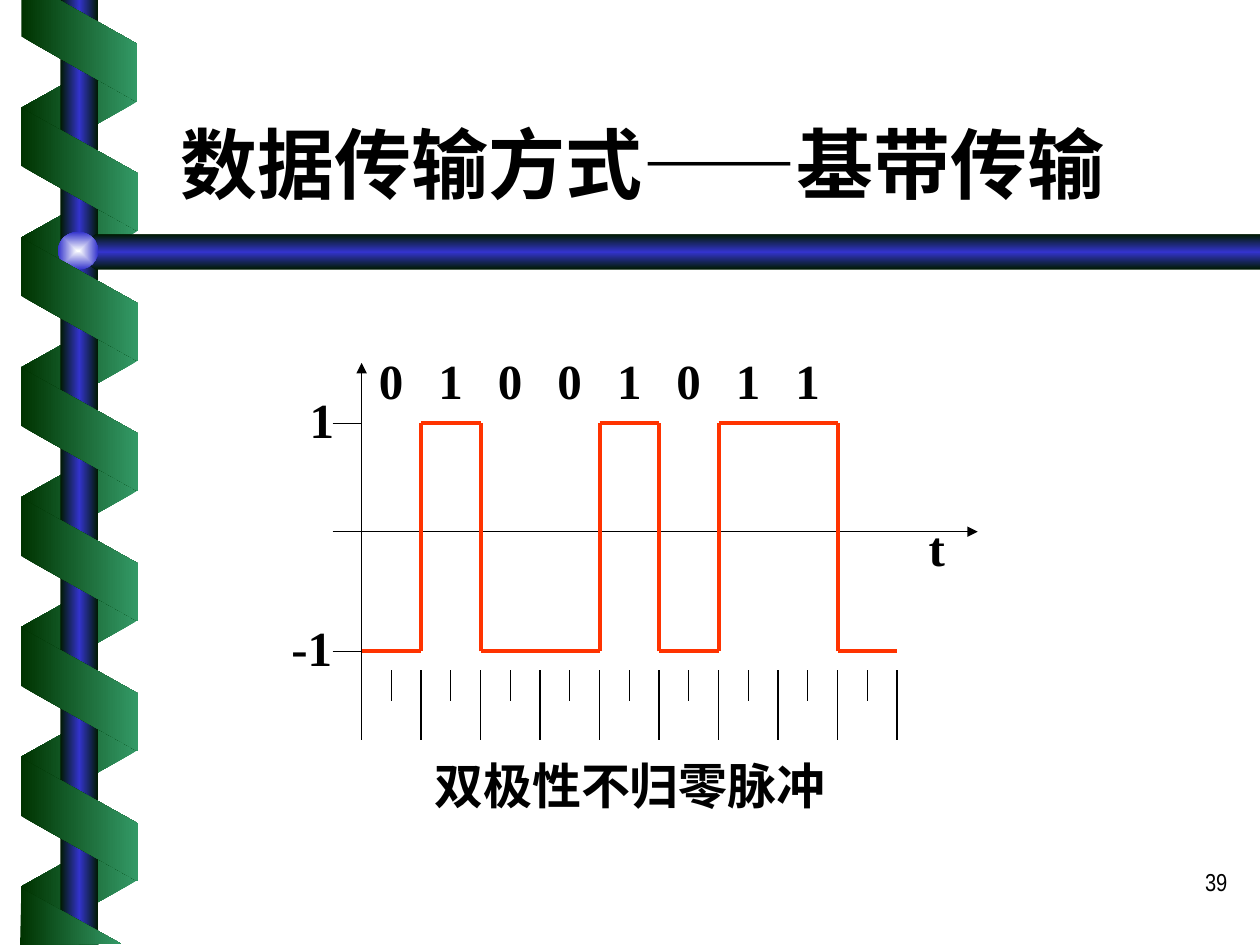
from lxml import etree
from pptx import Presentation
from pptx.dml.color import RGBColor
from pptx.enum.shapes import MSO_CONNECTOR as CONNECTOR, MSO_SHAPE as SHAPE
from pptx.enum.text import MSO_ANCHOR as ANCHOR, MSO_AUTO_SIZE as AUTO_SIZE, PP_ALIGN as ALIGN
from pptx.oxml import parse_xml
from pptx.oxml.ns import nsdecls, qn
from pptx.util import Inches, Pt

COLORS = {
    "ink": "000000",
    "signal": "FF3300",
    "dark_green": "003300",
    "green": "339966",
    "rod_edge": "001A00",
    "blue": "3333CC",
    "shine": "FEFFFF",
}
RIBBON = ("dark_green", "green")
ROD = ("rod_edge", "blue", "rod_edge")
LABEL = {"size": Pt(28), "name": "Times New Roman", "bold": True}

# Signal geometry in inches
BITS = "01001011"
ORIGIN, END = 2.87, 7.12
SLOTS = len(BITS) + 1
BIT_WIDTH = (END - ORIGIN) / SLOTS
HIGH, ZERO, LOW = 3.36, 4.22, 5.17
TICK_TOP, SHORT_TICK, LONG_TICK = 5.32, 5.56, 5.87


def shade(shape, names, angle=0, centred=False):
    """Fill a shape with an evenly stepped gradient and no outline."""
    stops = "".join(
        f'<a:gs pos="{100000 * i // (len(names) - 1)}"><a:srgbClr val="{COLORS[name]}"/></a:gs>'
        for i, name in enumerate(names))
    if centred:
        direction = ('<a:path path="rect"><a:fillToRect l="50000" t="50000" '
                     'r="50000" b="50000"/></a:path>')
    else:
        direction = f'<a:lin ang="{angle * 60000}" scaled="1"/>'
    gradient = parse_xml(
        f'<a:gradFill {nsdecls("a")} rotWithShape="0"><a:gsLst>{stops}</a:gsLst>'
        f"{direction}</a:gradFill>")
    shape.fill.background()
    properties = shape._element.spPr
    properties.replace(properties.find(qn("a:noFill")), gradient)
    shape.line.fill.background()
    shape.shadow.inherit = False


def add_preset(slide, kind, left, top, width, height):
    return slide.shapes.add_shape(
        kind, Inches(left), Inches(top), Inches(width), Inches(height))


def add_outline(slide, points, names, angle=0):
    corners = [(Inches(x), Inches(y)) for x, y in points]
    builder = slide.shapes.build_freeform(*corners[0])
    builder.add_line_segments(corners[1:], close=True)
    shade(builder.convert_to_shape(), names, angle)


def add_ribbon_turn(slide, top, front):
    turn = add_preset(slide, SHAPE.PARALLELOGRAM, 0.14, top, 0.98, 0.93 if front else 0.92)
    turn.adjustments[0] = 0.56
    turn.rotation = 270 if front else 90
    if not front:
        turn._element.spPr.xfrm.set("flipH", "1")
    shade(turn, RIBBON if front else RIBBON[::-1])


def add_line(slide, start, end, color="ink", width=0.75, arrow=False):
    line = slide.shapes.add_connector(
        CONNECTOR.STRAIGHT, *(Inches(v) for v in (*start, *end)))
    line.line.color.rgb = RGBColor.from_string(COLORS[color])
    line.line.width = Pt(width)
    if arrow:
        etree.SubElement(line.line._get_or_add_ln(), qn("a:tailEnd"), type="triangle")
    etree.SubElement(line._element.spPr, qn("a:effectLst"))


def format_font(font, values):
    for name, value in values.items():
        setattr(font, name, value)
    font.color.rgb = RGBColor.from_string(COLORS["ink"])


def add_label(slide, text, left, top, width=0.47, height=0.57, align=ALIGN.CENTER, values=LABEL):
    box = slide.shapes.add_textbox(Inches(left), Inches(top), Inches(width), Inches(height))
    box.text_frame.word_wrap = True
    paragraph = box.text_frame.paragraphs[0]
    paragraph.text = text
    paragraph.alignment = align
    format_font(paragraph.font, values)


def add_title(slide, text):
    title = slide.shapes.title
    title.left, title.top = Inches(1.33), Inches(0.46)
    title.width, title.height = Inches(8.5), Inches(1.25)
    frame = title.text_frame
    frame.text = text
    frame.auto_size = AUTO_SIZE.NONE
    frame.vertical_anchor = ANCHOR.BOTTOM
    paragraph = frame.paragraphs[0]
    paragraph.alignment = ALIGN.LEFT
    format_font(paragraph.font, {"size": Pt(44), "name": "Arial Narrow", "bold": True})


def add_decoration(slide):
    # Ribbon turns behind the rod
    for i in range(7):
        add_ribbon_turn(slide, 0.37 + 1.03 * i, front=False)

    # Vertical rod, crossbar and joint
    shade(add_preset(slide, SHAPE.RECTANGLE, 0.48, 0, 0.3, 7.5), ROD)
    add_outline(slide, [(10, 1.86), (0.76, 1.86), (0.6, 2), (0.76, 2.14), (10, 2.14)], ROD, 90)
    shade(add_preset(slide, SHAPE.OVAL, 0.46, 1.84, 0.32, 0.3), ("shine", "blue"), centred=True)

    # Ribbon turns in front, cut off at the slide edges
    for i in range(6):
        add_ribbon_turn(slide, 0.88 + 1.032 * i, front=True)
    add_outline(slide, [(0.17, 0), (0.17, 0.29), (1.09, 0.81), (1.09, 0.35), (0.47, 0)], RIBBON)
    add_outline(slide, [(0.96, 7.49), (0.17, 7.05), (0.16, 7.5)], RIBBON)


def add_axes(slide):
    add_line(slide, (ORIGIN, LONG_TICK), (ORIGIN, 2.88), arrow=True)
    add_line(slide, (2.64, ZERO), (7.76, ZERO), arrow=True)
    for level in (LOW, HIGH):
        add_line(slide, (2.64, level), (ORIGIN, level))

    # Ticks at every half bit, longer at the bit borders
    for i in range(1, 2 * SLOTS + 1):
        x = ORIGIN + BIT_WIDTH * i / 2
        add_line(slide, (x, TICK_TOP), (x, SHORT_TICK if i % 2 else LONG_TICK))

    add_label(slide, "-1", 2.16, 4.85, width=0.63)
    add_label(slide, "1", 2.32, 3.04)
    add_label(slide, "t", 7.2, 4.06)


def add_signal(slide):
    for i, bit in enumerate(BITS):
        add_label(slide, bit, ORIGIN + BIT_WIDTH * i, 2.73)

    # The line falls back to the low level after the last bit
    levels = [HIGH if bit == "1" else LOW for bit in BITS] + [LOW]
    previous = levels[0]
    for i, level in enumerate(levels):
        x = ORIGIN + BIT_WIDTH * i
        if level != previous:
            add_line(slide, (x, LOW), (x, HIGH), "signal", 2.25)
        add_line(slide, (x, level), (x + BIT_WIDTH, level), "signal", 2.25)
        previous = level


def main():
    deck = Presentation()
    deck.slide_width, deck.slide_height = Inches(10), Inches(7.5)
    slide = deck.slides.add_slide(deck.slide_layouts[5])

    add_decoration(slide)
    add_title(slide, "数据传输方式——基带传输")
    add_axes(slide)
    add_signal(slide)
    add_label(slide, "双极性不归零脉冲", 3.03, 5.95, width=3.94)
    add_label(slide, "39", 7.76, 6.83, 2.08, 0.5, ALIGN.RIGHT,
              {"size": Pt(14), "name": "Arial Narrow"})

    deck.save("out.pptx")


if __name__ == "__main__":
    main()
